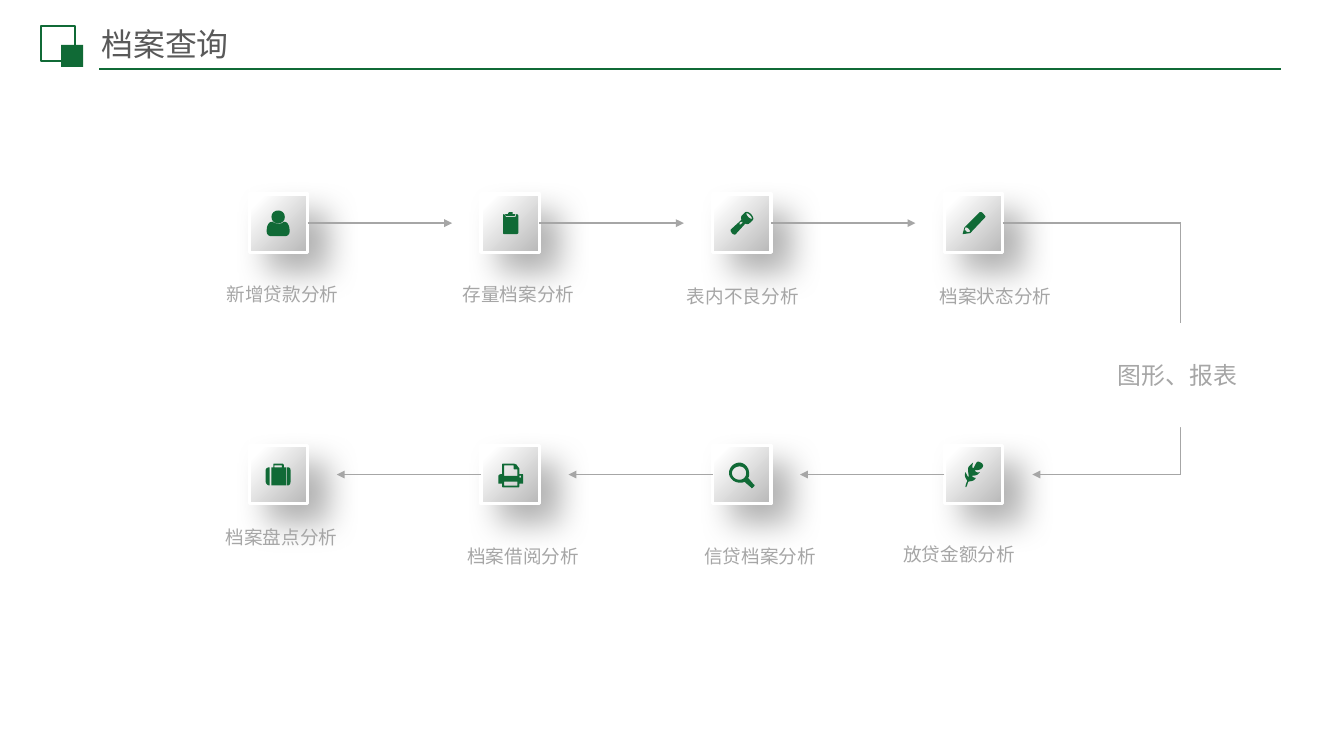
from dataclasses import dataclass

from lxml.etree import SubElement as Sub
from pptx import Presentation
from pptx.dml.color import RGBColor as Rgb
from pptx.enum.shapes import MSO_CONNECTOR as Link, MSO_SHAPE as Kind
from pptx.enum.text import MSO_ANCHOR as Anchor, MSO_AUTO_SIZE as Fit, PP_ALIGN as Align
from pptx.oxml.ns import qn
from pptx.util import Inches as In, Pt


@dataclass(frozen=True)
class Theme:
    font: str = "Arial"
    green: str = "106A36"
    gray: str = "A6A6A6"
    dark: str = "595959"
    white: str = "FFFFFF"
    shade: str = "B8B8B8"
    black: str = "000000"
    title: int = 24
    note: int = 18
    label: int = 14


LOOK = Theme()
WIDE, HIGH = 14.06, 7.91
SIDE = 0.61
LEFT, TOP = 2.61, 2.03
COL, ROW = (9.88 - LEFT) / 3, 2.63
REACH = 1.51
TURN = 12.35
FINE = 100

# Icon outlines in hundredths of an inch from the tile corner: M start, L lines, C curves
USER = ("M 23 24 C 23 15 37 15 37 24 C 37 33 23 33 23 24 "
        "M 18 39 C 18 33 20 29 24 29 C 28 32 33 32 36 29 C 40 29 42 33 42 39 "
        "C 42 42 40 44 38 44 L 22 44 C 20 44 18 42 18 39")
BOARD = ("M 37 21 L 36 24 26 24 24 21 C 23 21 23 22 23 23 L 23 41 C 23 41 23 42 24 42 "
         "L 37 42 C 38 42 39 41 39 41 L 39 23 C 39 22 38 21 37 21 "
         "M 35 23 L 36 21 33 21 33 19 29 19 28 21 25 21 26 23")
TORCH = ("M 37 24 C 35 22 35 20 35 20 C 35 20 37 20 39 22 C 41 24 41 26 41 26 "
         "C 41 26 39 26 37 24 M 28 32 C 28 31 28 30 28 30 C 29 29 30 29 31 29 "
         "C 31 30 31 31 30 31 C 29 32 29 32 28 32 "
         "M 40 21 C 38 19 35 18 34 19 L 30 23 C 30 23 29 25 30 27 L 19 37 "
         "C 18 38 19 39 20 41 C 21 42 23 43 24 42 L 34 31 C 36 32 38 31 38 31 "
         "L 42 27 C 43 26 42 23 40 21")
PENCIL = ("M 26 40 L 24 40 C 23 40 23 39 23 39 C 22 38 22 38 21 38 L 22 35 "
          "C 22 35 24 35 25 36 C 27 38 27 39 27 39 "
          "M 41 21 C 39 18 37 19 37 19 L 21 35 19 42 27 41 43 24 C 43 24 43 23 41 21")
CASE = ("M 21 23 C 19 23 17 24 17 26 L 17 38 C 17 40 19 42 21 42 "
        "M 34 23 L 26 23 26 21 34 21 "
        "M 36 21 C 36 20 35 19 34 19 L 26 19 C 25 19 25 20 25 21 "
        "L 25 23 23 23 23 42 38 42 38 23 36 23 "
        "M 39 23 L 40 23 C 42 23 43 24 43 26 L 43 38 C 43 40 42 42 40 42 L 39 42")
PRINT = ("M 38 32 L 24 32 24 21 34 21 34 24 C 34 25 34 25 35 25 L 38 25 "
         "M 38 42 L 24 42 24 38 38 38 M 42 33 C 42 34 40 34 40 33 C 40 31 42 31 42 33 "
         "M 43 30 L 40 30 40 25 C 40 24 40 24 39 23 L 37 20 C 36 20 35 19 34 19 "
         "L 23 19 C 22 19 22 20 22 21 L 22 30 C 19 30 18 31 18 33 L 18 40 22 40 22 42 "
         "C 22 43 22 44 23 44 L 39 44 C 40 44 40 43 40 42 L 40 40 44 40 44 33 "
         "C 44 31 44 30 43 30")
LENS = ("M 20 29 C 20 25 24 22 28 22 C 32 22 35 25 35 29 C 35 33 32 36 28 36 "
        "C 24 36 20 33 20 29 M 43 41 L 37 34 C 38 33 38 31 38 29 C 38 23 33 18 28 18 "
        "C 22 18 17 23 17 29 C 17 34 22 39 28 39 C 30 39 32 39 33 38 L 40 44 "
        "C 40 45 41 45 42 44 L 43 43 C 44 42 44 41 43 41")
PLUME = ("M 23 43 C 24 42 24 40 25 38 C 29 37 30 38 33 34 C 31 34 29 33 29 32 "
         "C 29 31 34 33 37 28 C 33 29 32 27 32 26 C 33 26 37 26 39 24 "
         "C 40 23 41 21 40 20 C 40 19 37 17 35 17 C 33 17 31 24 30 24 "
         "C 29 24 29 21 30 18 C 29 19 26 21 25 23 C 24 26 26 33 25 33 "
         "C 25 34 23 30 22 28 C 21 31 21 33 24 37 C 23 39 22 42 22 43 C 22 44 23 44 23 43")

# Icon, label, label shift from the tile (right, down), label width, alignment
STEPS = [
    [(USER, "新增贷款分析", -0.35, 0.88, 1.39, Align.CENTER),
     (BOARD, "存量档案分析", -0.4, 0.88, 1.58, Align.CENTER),
     (TORCH, "表内不良分析", -0.27, 0.9, 1.58, Align.LEFT),
     (PENCIL, "档案状态分析", -0.05, 0.9, 1.37, Align.LEFT)],
    [(CASE, "档案盘点分析", -0.54, 0.8, 1.75, Align.CENTER),
     (PRINT, "档案借阅分析", -0.15, 0.99, 1.18, Align.CENTER),
     (LENS, "信贷档案分析", -0.38, 0.99, 1.75, Align.CENTER),
     (PLUME, "放贷金额分析", -0.43, 0.97, 1.97, Align.LEFT)],
]


def style(item, **vals):
    for name, val in vals.items():
        setattr(item, name, val)


def paint(shape, fill=None, edge=None, size=1):
    shape.shadow.inherit = False
    for part, tint in ((shape.fill, fill), (shape.line.fill, edge)):
        if tint:
            part.solid()
            part.fore_color.rgb = Rgb.from_string(tint)
        else:
            part.background()
    if edge:
        shape.line.width = Pt(size)


def block(page, kind, box, **look):
    shape = page.shapes.add_shape(kind, *map(In, box))
    paint(shape, **look)
    return shape


def write(shape, text, size, tint, align, gap=1.0, pad=None, **frame):
    body = shape.text_frame
    style(body, word_wrap=True, **frame)
    if pad:
        across, down = map(In, pad)
        style(body, margin_left=across, margin_right=across, margin_top=down, margin_bottom=down)
    para = body.paragraphs[0]
    style(para, text=text, alignment=align, line_spacing=gap)
    style(para.font, name=LOOK.font, size=Pt(size))
    para.font.color.rgb = Rgb.from_string(tint)


def link(page, start, end, tint=LOOK.gray, size=1, arrow=False, tile=None, side=3):
    line = page.shapes.add_connector(Link.STRAIGHT, *map(In, start + end))
    if tile is not None:
        line.begin_connect(tile, side)
    line.line.width = Pt(size)
    line.line.color.rgb = Rgb.from_string(tint)
    props = line.element.spPr
    if arrow:
        Sub(props.find(qn("a:ln")), qn("a:tailEnd"), type="triangle")
    Sub(props, qn("a:effectLst"))


def trace(loop):
    """Turn one outline into points, with each curve cut into short lines."""
    dots = []
    for part in loop.replace("C", "|C").replace("L", "|L").split("|"):
        nums = [float(n) * FINE for n in part.strip("CL ").split()]
        pairs = list(zip(nums[::2], nums[1::2]))
        if part.startswith("C"):
            knots = [dots[-1]] + pairs
            for t in (n / 8 for n in range(1, 9)):
                mix = ((1 - t) ** 3, 3 * t * (1 - t) ** 2, 3 * t * t * (1 - t), t ** 3)
                dots.append(tuple(sum(m * k[axis] for m, k in zip(mix, knots))
                                  for axis in (0, 1)))
        else:
            dots += pairs
    return dots


def icon(page, art, x, y):
    loops = [trace(loop) for loop in art.split("M")[1:]]
    pen = page.shapes.build_freeform(*loops[0][0], scale=In(0.01) / FINE)
    for loop in loops:
        pen.move_to(*loop[0])
        pen.add_line_segments(loop[1:], close=True)
    paint(pen.convert_to_shape(In(x), In(y)), fill=LOOK.green)


def plate(page, x, y):
    """Draw a shaded square tile with a soft shadow."""
    shape = block(page, Kind.RECTANGLE, (x, y, SIDE, SIDE), edge=LOOK.white, size=2.5)
    shape.fill.gradient()
    shape.fill.gradient_angle = 315
    for stop, tint, at in zip(shape.fill.gradient_stops, (LOOK.white, LOOK.shade), (0.13, 1)):
        stop.color.rgb = Rgb.from_string(tint)
        stop.position = at
    glow = Sub(shape.element.spPr.find(qn("a:effectLst")), qn("a:outerShdw"),
               blurRad=str(Pt(24)), dist=str(Pt(20)), dir="2700000", algn="tl", rotWithShape="0")
    Sub(Sub(glow, qn("a:srgbClr"), val=LOOK.black), qn("a:alpha"), val="30000")
    return shape


def header(page):
    link(page, (1.04, 0.72), (13.4, 0.72), LOOK.green, 1.25)
    block(page, Kind.RECTANGLE, (0.43, 0.27, 0.36, 0.37), edge=LOOK.green, size=1.5)
    block(page, Kind.RECTANGLE, (0.64, 0.47, 0.23, 0.23), fill=LOOK.green)
    box = page.shapes.add_textbox(*map(In, (0.99, 0.29, 5.25, 0.39)))
    write(box, "档案查询", LOOK.title, LOOK.dark, Align.LEFT, 0.9, (0.07, 0.04),
          vertical_anchor=Anchor.MIDDLE)


def step(page, col, row, art, text, right, down, width, align):
    x, y = LEFT + col * COL, TOP + row * ROW
    mid = y + SIDE / 2
    tile = plate(page, x, y)
    icon(page, art, x, y)
    if row == 0:
        last = col == 3
        end = TURN if last else x + SIDE + REACH
        link(page, (x + SIDE, mid), (end, mid), arrow=not last, tile=tile, side=3)
    elif col > 0:
        link(page, (x, mid), (x - REACH, mid), arrow=True, tile=tile, side=1)
    box = page.shapes.add_textbox(*map(In, (x + right, y + down, width, 0.26)))
    write(box, text, LOOK.label, LOOK.gray, align, 1.2, (0, 0), auto_size=Fit.SHAPE_TO_FIT_TEXT)


def bend(page):
    high = TOP + SIDE / 2
    low = high + ROW
    link(page, (TURN, high), (TURN, low))
    link(page, (TURN, low), (10.8, low), arrow=True)
    note = block(page, Kind.ROUNDED_RECTANGLE, (10.77, 3.38, 3.1, 1.09), fill=LOOK.white)
    write(note, "图形、报表", LOOK.note, LOOK.gray, Align.CENTER, vertical_anchor=Anchor.MIDDLE)


def main():
    deck = Presentation()
    style(deck, slide_width=In(WIDE), slide_height=In(HIGH))
    page = deck.slides.add_slide(deck.slide_layouts[6])
    header(page)
    for row, items in enumerate(STEPS):
        for col, item in enumerate(items):
            step(page, col, row, *item)
    bend(page)
    deck.save("out.pptx")


if __name__ == "__main__":
    main()
